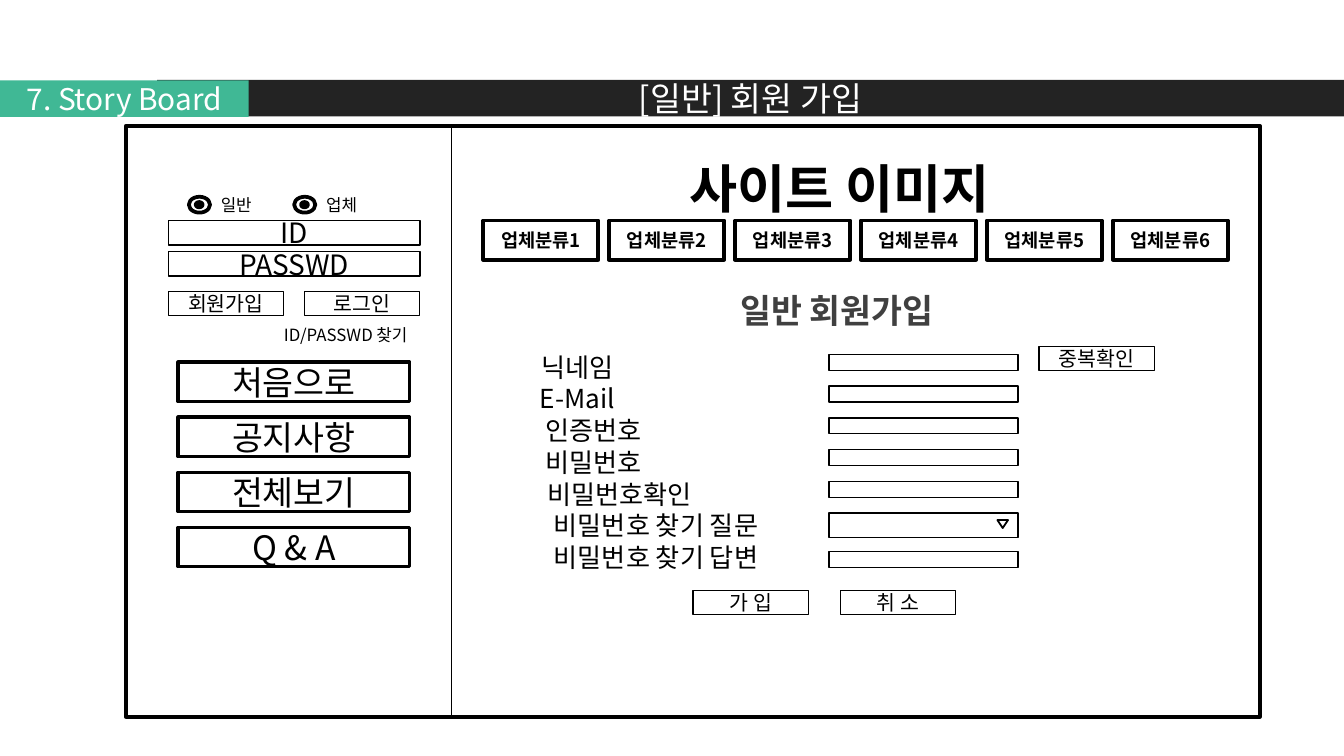
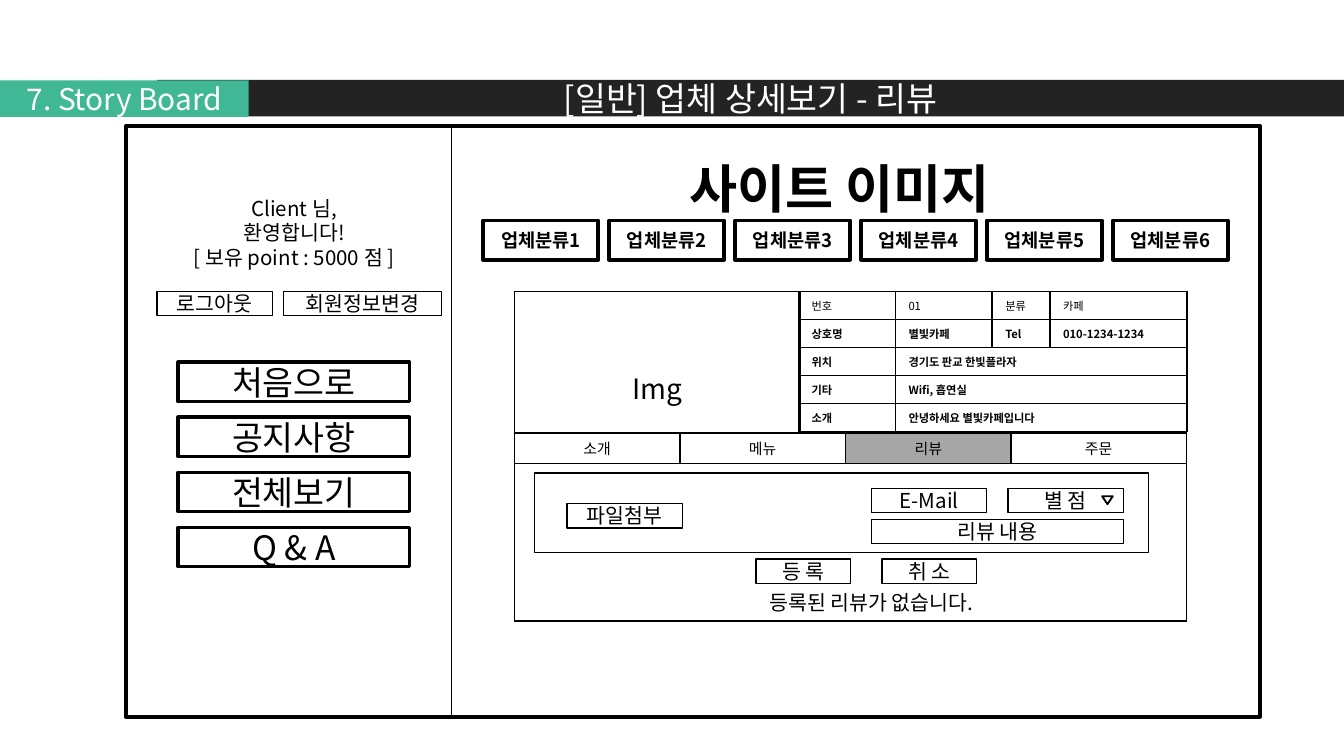
from dataclasses import dataclass

from lxml.etree import SubElement
from pptx import Presentation
from pptx.dml.color import RGBColor
from pptx.enum.shapes import MSO_SHAPE
from pptx.enum.text import MSO_ANCHOR, MSO_AUTO_SIZE, PP_ALIGN
from pptx.oxml.ns import qn
from pptx.util import Cm, Pt


@dataclass(frozen=True)
class Theme:
    font: str = "Noto Sans CJK KR"
    black: str = "000000"
    white: str = "FFFFFF"
    band: str = "232323"
    accent: str = "40B895"
    heading: str = "404040"
    selected: str = "A6A6A6"
    site_size: int = 28
    title_size: int = 18
    section_size: int = 16
    input_size: int = 15
    label_size: int = 14
    button_size: int = 11
    category_size: int = 10
    note_size: int = 9
    tab_size: int = 8
    detail_size: int = 6
    thin: float = 0.75
    medium: float = 1
    thick: float = 2


THEME = Theme()
BUTTON_WIDTH = 2.18
BUTTON_HEIGHT = 0.46
FIELD_HEIGHT = 0.3
MENU = ["처음으로", "공지사항", "전체보기", "Q & A"]
FORM_ROWS = [
    # label, label left, label width
    ("닉네임", 9.72, 2.38),
    ("E-Mail", 9.72, 2.38),
    ("인증번호", 9.53, 3.37),
    ("비밀번호", 9.33, 3.77),
    ("비밀번호확인", 9.53, 4.37),
    ("비밀번호 찾기 질문", 9.92, 4.96),
    ("비밀번호 찾기 답변", 9.92, 4.96),
]
QUESTION_ROW = 5
SHOP_ROWS = [
    ["번호", "01", "분류", "카페"],
    ["상호명", "별빛카페", "Tel", "010-1234-1234"],
    ["위치", "경기도 판교 한빛플라자"],
    ["기타", "Wifi, 흡연실"],
    ["소개", "안녕하세요 별빛카페입니다"],
]
TABS = ["소개", "메뉴", "리뷰", "주문"]


def write(frame, text, size=THEME.button_size, color=THEME.black, bold=False,
          align=PP_ALIGN.CENTER):
    """Fill a text frame, one paragraph for each line of text."""
    for index, line in enumerate(text.split("\n")):
        para = frame.paragraphs[0] if index == 0 else frame.add_paragraph()
        para.alignment = align
        span = para.add_run()
        span.text = line
        span.font.size = Pt(size)
        span.font.bold = bold
        span.font.name = THEME.font
        span.font.color.rgb = RGBColor.from_string(color)
        properties = span.font._element
        SubElement(properties, qn("a:ea")).set("typeface", THEME.font)


def prepare_frame(frame, top=0, right=0):
    frame.word_wrap = True
    frame.auto_size = MSO_AUTO_SIZE.NONE
    frame.vertical_anchor = MSO_ANCHOR.MIDDLE
    frame.margin_left = frame.margin_bottom = 0
    frame.margin_top, frame.margin_right = Cm(top), Cm(right)


def paint(target, color):
    if color:
        target.fill.solid()
        target.fill.fore_color.rgb = RGBColor.from_string(color)
    else:
        target.fill.background()


def add_box(shapes, left, top, width, height, text="", fill=None, line=THEME.thin,
            kind=MSO_SHAPE.RECTANGLE, inset_top=0, **text_format):
    box = shapes.add_shape(kind, Cm(left), Cm(top), Cm(width), Cm(height))
    box.shadow.inherit = False
    paint(box, fill)
    if line:
        box.line.width = Pt(line)
        box.line.color.rgb = RGBColor.from_string(THEME.black)
    else:
        box.line.fill.background()
    if text:
        prepare_frame(box.text_frame, top=inset_top)
        write(box.text_frame, text, **text_format)
    return box


def add_button(shapes, left, top, text, width=BUTTON_WIDTH, **text_format):
    add_box(shapes, left, top, width, BUTTON_HEIGHT, text, **text_format)


def add_text(shapes, left, top, width, height, text, inset_right=0, **text_format):
    box = shapes.add_textbox(Cm(left), Cm(top), Cm(width), Cm(height))
    prepare_frame(box.text_frame, right=inset_right)
    write(box.text_frame, text, **text_format)


def add_dropdown_arrow(shapes, left, top):
    arrow = add_box(shapes, left, top, 0.2, 0.15, line=THEME.medium,
                    kind=MSO_SHAPE.ISOSCELES_TRIANGLE)
    arrow.rotation = 180


def add_radio(page, left, text):
    top, height = 3.72, 0.3
    group = page.shapes.add_group_shape().shapes
    add_box(group, left, top, 0.4, height, fill=THEME.white, line=THEME.thick,
            kind=MSO_SHAPE.OVAL)
    add_box(group, left + 0.13, top + 0.1, 0.13, 0.1, fill=THEME.black,
            line=THEME.thick, kind=MSO_SHAPE.OVAL)
    add_text(page.shapes, left + 0.2, top, 1.39, height, text, size=THEME.note_size)


def add_cell_borders(cell):
    properties = cell._tc.get_or_add_tcPr()
    for position, side in enumerate(("a:lnL", "a:lnR", "a:lnT", "a:lnB")):
        border = properties.makeelement(qn(side), {"w": str(Pt(THEME.medium))})
        fill = SubElement(border, qn("a:solidFill"))
        SubElement(fill, qn("a:srgbClr")).set("val", THEME.black)
        properties.insert(position, border)


def add_grid(page, left, top, widths, heights):
    """Add a plain table with black borders and no fill."""
    table = page.shapes.add_table(
        len(heights), len(widths), Cm(left), Cm(top),
        Cm(sum(widths)), Cm(sum(heights))).table
    table.first_row = table.horz_banding = False
    for column, width in zip(table.columns, widths):
        column.width = Cm(width)
    for row, height in zip(table.rows, heights):
        row.height = Cm(height)
    for cell in table.iter_cells():
        cell.margin_left = cell.margin_right = Cm(0.25)
        cell.margin_top = cell.margin_bottom = Cm(0.08)
        cell.vertical_anchor = MSO_ANCHOR.MIDDLE
        paint(cell, None)
        add_cell_borders(cell)
    return table


def add_shop_table(page):
    table = add_grid(page, 15.09, 5.51, [1.83, 1.83, 1.09, 2.59],
                     [0.53] * len(SHOP_ROWS))
    for row, values in enumerate(SHOP_ROWS):
        if len(values) == 2:
            table.cell(row, 1).merge(table.cell(row, 3))
        for column, value in enumerate(values):
            write(table.cell(row, column).text_frame, value, size=THEME.detail_size,
                  bold=row > 0, align=PP_ALIGN.LEFT)


def add_tab_table(page, selected):
    table = add_grid(page, 9.72, 8.18, [3.13, 3.13, 3.13, 3.31], [0.58, 2.98])
    for column, tab in enumerate(TABS):
        cell = table.cell(0, column)
        write(cell.text_frame, tab, size=THEME.tab_size)
        if tab == selected:
            paint(cell, THEME.selected)
    table.cell(1, 0).merge(table.cell(1, len(TABS) - 1))


def add_title(page, text):
    title = page.shapes.title
    title.left, title.top = Cm(2.97), Cm(1.51)
    title.width, title.height = Cm(22.43), Cm(0.69)
    paint(title, THEME.band)
    prepare_frame(title.text_frame)
    write(title.text_frame, text, size=THEME.title_size, color=THEME.white)


def add_storyboard(deck, title):
    """Add a slide with the bands, the site frame, the menu and the categories."""
    page = deck.slides.add_slide(deck.slide_layouts[5])
    shapes = page.shapes
    add_title(page, title)
    add_box(shapes, 0, 1.52, 4.7, 0.69, "7. Story Board", fill=THEME.accent, line=None,
            size=THEME.section_size, color=THEME.white)
    add_box(shapes, 2.38, 2.38, 6.15, 11.17)
    add_box(shapes, 2.38, 2.38, 21.43, 11.17, line=THEME.thick)
    for index, text in enumerate(MENU):
        add_box(shapes, 3.37, 6.85 + 1.04 * index, 4.37, 0.74, text,
                line=THEME.thick, size=THEME.title_size)
    add_text(shapes, 9.92, 2.82, 11.91, 1.45, "사이트 이미지",
             size=THEME.site_size, bold=True)
    categories = shapes.add_group_shape().shapes
    for index in range(6):
        add_box(categories, 9.13 + 2.38 * index, 4.17, BUTTON_WIDTH, 0.74,
                f"업체분류{index + 1}", line=THEME.thick,
                size=THEME.category_size, bold=True)
    return page


def add_login(page):
    add_radio(page, 3.57, "일반")
    add_radio(page, 5.56, "업체")
    shapes = page.shapes
    add_button(shapes, 3.18, 4.17, "ID", width=4.76, size=THEME.input_size)
    add_button(shapes, 3.18, 4.76, "PASSWD", width=4.76, size=THEME.input_size)
    add_button(shapes, 3.18, 5.51, "회원가입")
    add_button(shapes, 5.75, 5.51, "로그인")
    add_text(shapes, 3.57, 6.1, 4.76, BUTTON_HEIGHT, "ID/PASSWD 찾기", inset_right=0.63,
             size=THEME.note_size, align=PP_ALIGN.RIGHT)


def add_signup_form(page):
    shapes = page.shapes
    add_text(shapes, 10.72, 5.36, 10.19, 1.02, "일반 회원가입",
             size=THEME.title_size, color=THEME.heading, bold=True)
    for index, (label, left, width) in enumerate(FORM_ROWS):
        top = 6.7 + 0.6 * index
        add_text(shapes, left, top, width, BUTTON_HEIGHT, label, size=THEME.label_size)
        height = BUTTON_HEIGHT if index == QUESTION_ROW else FIELD_HEIGHT
        drop = 0.13 if index > QUESTION_ROW else 0
        add_box(shapes, 15.67, top + drop, 3.57, height)
    add_dropdown_arrow(shapes, 18.85, 9.83)
    add_button(shapes, 19.64, 6.55, "중복확인")
    add_button(shapes, 13.1, 11.16, "가 입")
    add_button(shapes, 15.88, 11.16, "취 소")


def add_welcome(page):
    shapes = page.shapes
    add_text(shapes, 3.18, 4.17, 4.76, BUTTON_HEIGHT,
             "Client 님,\n환영합니다!\n[ 보유 point : 5000 점 ]", size=THEME.button_size)
    add_button(shapes, 2.97, 5.51, "로그아웃")
    add_button(shapes, 5.36, 5.51, "회원정보변경", width=2.98)


def add_review_form(page):
    shapes = page.shapes
    add_box(shapes, 10.1, 8.94, 11.61, 1.5)
    add_button(shapes, 10.72, 9.52, "파일첨부")
    add_button(shapes, 16.47, 9.23, "E-Mail")
    add_button(shapes, 19.05, 9.23, "별 점")
    add_button(shapes, 16.47, 9.82, "리뷰 내용", width=4.76)
    add_dropdown_arrow(shapes, 20.83, 9.38)
    add_button(shapes, 14.29, 10.57, "등 록", width=1.79)
    add_button(shapes, 16.67, 10.57, "취 소", width=1.79)
    add_text(shapes, 12.5, 11.16, 7.94, BUTTON_HEIGHT, "등록된 리뷰가 없습니다.")


def main():
    deck = Presentation()
    deck.slide_width, deck.slide_height = Cm(25.4), Cm(14.29)

    signup = add_storyboard(deck, "[일반] 회원 가입")
    add_login(signup)
    add_signup_form(signup)

    review = add_storyboard(deck, "[일반] 업체 상세보기 - 리뷰")
    add_welcome(review)
    add_shop_table(review)
    add_tab_table(review, selected="리뷰")
    add_review_form(review)
    add_box(review.shapes, 9.72, 5.51, 5.4, 2.69, "Img", inset_top=0.97,
            size=THEME.input_size)

    deck.save("out.pptx")


if __name__ == "__main__":
    main()
